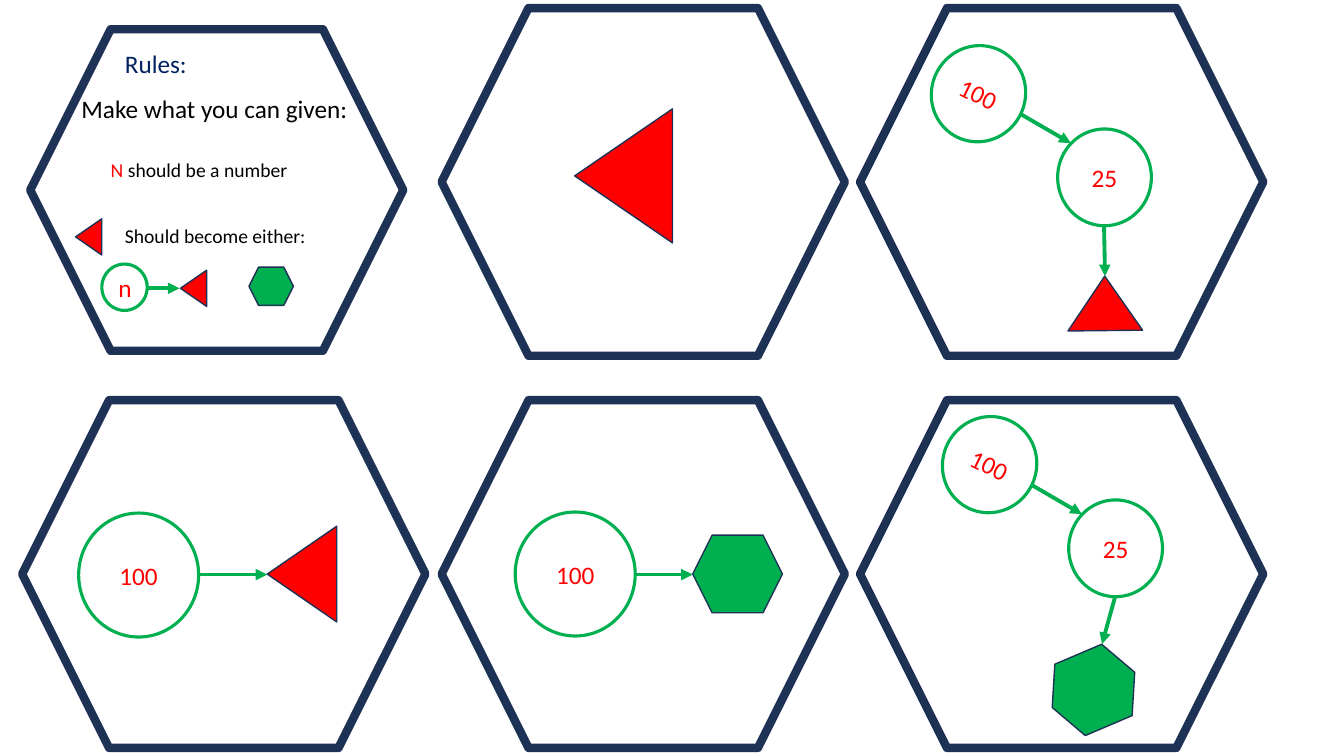
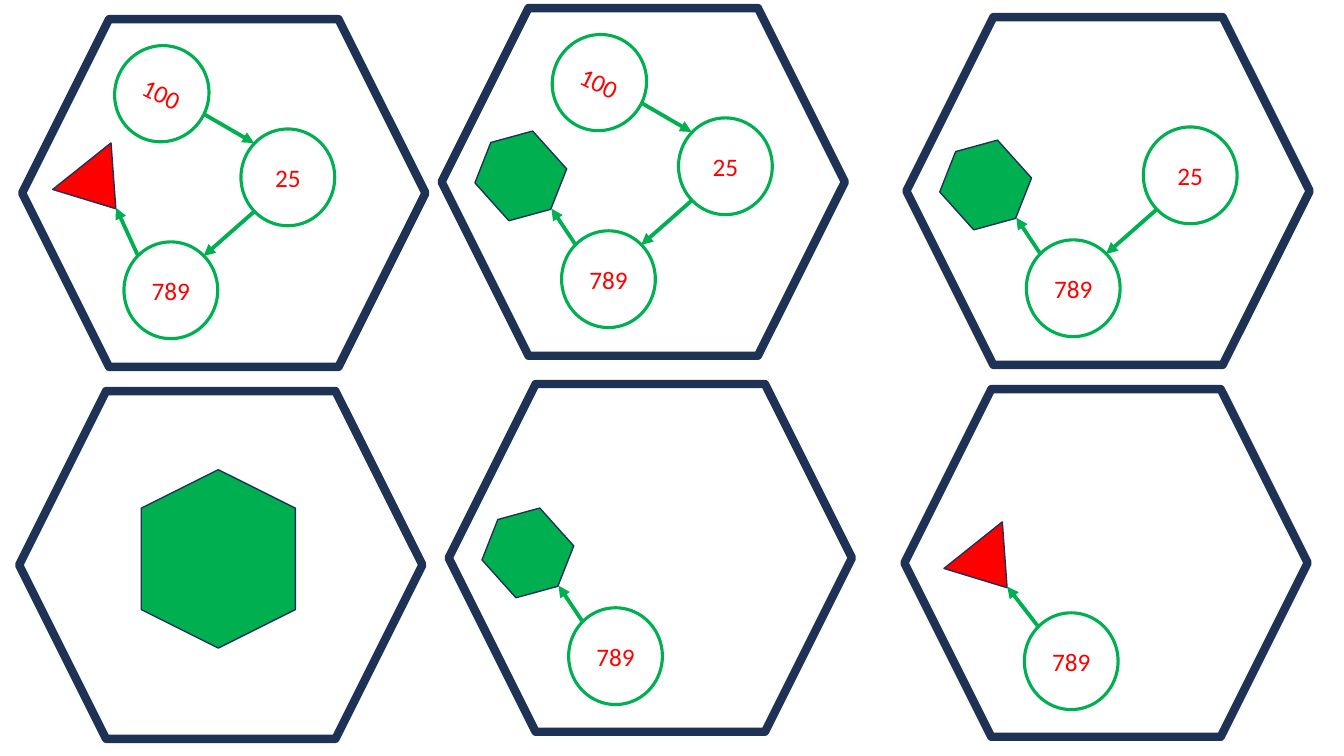
from lxml import etree
from pptx import Presentation
from pptx.dml.color import RGBColor
from pptx.enum import shapes, text
from pptx.oxml import ns
from pptx.util import Inches, Pt

NAVY = RGBColor(0x1E, 0x32, 0x56)
TITLE_BLUE = RGBColor(0x00, 0x20, 0x60)
GREEN = RGBColor(0x00, 0xB0, 0x50)
RED = RGBColor(0xFF, 0x00, 0x00)
WHITE = RGBColor(0xFF, 0xFF, 0xFF)
BLACK = RGBColor(0x00, 0x00, 0x00)

FONT = "Calibri"
FRAME = (4, 3.45)
NODE = (0.93, 0.96)
BIG_NODE = (1.19, 1.23)
LEAF_HEXAGON = (0.89, 0.77)
LEAF_TRIANGLE = (0.74, 0.54)


# Basic elements
def add_shape(slide, kind, position, size, fill, line, weight, rotation=0):
    lengths = [Inches(value) for value in (*position, *size)]
    shape = slide.shapes.add_shape(kind, *lengths)
    shape.shadow.inherit = False
    shape.rotation = rotation
    if fill is None:
        shape.fill.background()
    else:
        shape.fill.solid()
        shape.fill.fore_color.rgb = fill
    shape.line.color.rgb = line
    shape.line.width = Pt(weight)
    return shape


def add_run(paragraph, words, size, color):
    run = paragraph.add_run()
    run.text = words
    run.font.name = FONT
    run.font.size = Pt(size)
    run.font.color.rgb = color
    return run


def outline_run(run, color, weight):
    properties = run.font._element
    line = etree.Element(ns.qn("a:ln"), w=str(int(Pt(weight))))
    fill = etree.SubElement(line, ns.qn("a:solidFill"))
    etree.SubElement(fill, ns.qn("a:srgbClr"), val=str(color))
    properties.insert(0, line)


def add_text(slide, left, top, width, height, size, *runs):
    box = slide.shapes.add_textbox(*map(Inches, (left, top, width, height)))
    frame = box.text_frame
    frame.word_wrap = True
    frame.auto_size = text.MSO_AUTO_SIZE.SHAPE_TO_FIT_TEXT
    for words, color in runs:
        add_run(frame.paragraphs[0], words, size, color)


def add_arrow(slide, start, end):
    arrow = slide.shapes.add_connector(
        shapes.MSO_CONNECTOR.STRAIGHT, *map(Inches, (*start, *end)))
    arrow.line.color.rgb = GREEN
    arrow.line.width = Pt(2.75)
    etree.SubElement(arrow.line._get_or_add_ln(), ns.qn("a:tailEnd"), type="triangle")
    etree.SubElement(arrow._element.spPr, ns.qn("a:effectLst"))


# Parts of a card
def add_frame(slide, left, top, size=FRAME):
    add_shape(slide, shapes.MSO_SHAPE.HEXAGON, (left, top), size, None, NAVY, 6)


def add_hexagon(slide, position, size=LEAF_HEXAGON, rotation=0):
    add_shape(slide, shapes.MSO_SHAPE.HEXAGON, position, size, GREEN, NAVY, 1, rotation)


def add_triangle(slide, position, size=LEAF_TRIANGLE, rotation=0):
    add_shape(slide, shapes.MSO_SHAPE.ISOSCELES_TRIANGLE, position, size,
              RED, NAVY, 1, rotation)


def add_node(slide, label, position, size=NODE, rotation=0):
    node = add_shape(slide, shapes.MSO_SHAPE.OVAL, position, size,
                     WHITE, GREEN, 2.25, rotation)
    node.text_frame.vertical_anchor = text.MSO_ANCHOR.MIDDLE
    paragraph = node.text_frame.paragraphs[0]
    paragraph.alignment = text.PP_ALIGN.CENTER
    outline_run(add_run(paragraph, label, 18, RED), RED, 0.75)


# Linked nodes, each placed relative to the node before it
def shift(position, right, down):
    return position[0] + right, position[1] + down


def add_100_to_25(slide, node_100):
    node_25 = shift(node_100, 1.25, 0.83)
    add_node(slide, "100", node_100, rotation=26.2)
    add_arrow(slide, shift(node_100, 0.88, 0.68), shift(node_100, 1.38, 0.97))
    add_node(slide, "25", node_25)
    return node_25


def add_25_to_789(slide, node_25):
    node_789 = shift(node_25, -1.16, 1.12)
    add_arrow(slide, shift(node_25, 0.13, 0.82), shift(node_25, -0.37, 1.26))
    add_node(slide, "789", node_789)
    return node_789


def add_789_to_hexagon(slide, node_789):
    add_arrow(slide, shift(node_789, 0.14, 0.14), shift(node_789, -0.1, -0.22))
    add_hexagon(slide, shift(node_789, -0.85, -0.93), rotation=48.1)


def add_789_to_triangle(slide, node_789, triangle):
    tip = shift(triangle, 0.54, 0.47)
    add_triangle(slide, triangle, rotation=141.4)
    add_arrow(slide, shift(node_789, 0.14, 0.14), tip)


# Slides
def add_rules_card(slide):
    add_frame(slide, 0.3, 0.29, (3.7, 3.19))
    add_text(slide, 1.14, 0.43, 1.21, 0.4, 18, ("Rules:", TITLE_BLUE))
    add_text(slide, 0.71, 0.88, 2.93, 0.4, 18, ("Make what you can given:", BLACK))
    add_text(slide, 1, 1.52, 2.23, 0.34, 14, ("N", RED), (" should be a number", BLACK))
    add_text(slide, 1.14, 2.17, 2.23, 0.34, 14, ("Should become either:", BLACK))
    for position in ((0.7, 2.22), (1.74, 2.73)):
        add_triangle(slide, position, (0.36, 0.26), 270)
    add_node(slide, "n", (1.01, 2.62), (0.45, 0.46))
    add_arrow(slide, (1.46, 2.86), (1.78, 2.86))
    add_hexagon(slide, (2.47, 2.65), (0.44, 0.38))


def build_rules_slide(slide):
    add_rules_card(slide)
    for left, top in ((4.38, 0.08), (8.53, 0.08), (0.22, 3.97), (4.38, 3.97), (8.53, 3.97)):
        add_frame(slide, left, top)

    # Single triangle
    add_triangle(slide, (5.52, 1.26), (1.33, 0.97), 270)

    # One node and a leaf
    add_node(slide, "100", (0.78, 5.09), BIG_NODE)
    add_arrow(slide, (1.97, 5.7), (2.65, 5.7))
    add_triangle(slide, (2.52, 5.35), (0.95, 0.69), 270)
    add_node(slide, "100", (5.11, 5.08), BIG_NODE)
    add_arrow(slide, (6.3, 5.7), (6.87, 5.7))
    add_hexagon(slide, (6.87, 5.31))

    # Two nodes and a leaf
    node_25 = add_100_to_25(slide, (9.24, 0.45))
    add_arrow(slide, shift(node_25, 0.46, 0.96), shift(node_25, 0.47, 1.46))
    add_triangle(slide, (10.59, 2.74), rotation=359.4)
    node_25 = add_100_to_25(slide, (9.35, 4.13))
    add_arrow(slide, shift(node_25, 0.46, 0.96), shift(node_25, 0.33, 1.43))
    add_hexagon(slide, (10.4, 6.46), rotation=336.9)


def build_chains_slide(slide):
    for left, top in ((0.22, 0.19), (4.38, 0.08), (8.99, 0.17),
                      (0.19, 3.88), (4.45, 3.81), (8.97, 3.86)):
        add_frame(slide, left, top)

    # Three nodes and a leaf
    node_789 = add_25_to_789(slide, add_100_to_25(slide, (1.14, 0.45)))
    add_789_to_triangle(slide, node_789, (0.61, 1.59))
    node_789 = add_25_to_789(slide, add_100_to_25(slide, (5.48, 0.34)))
    add_789_to_hexagon(slide, node_789)

    # Two nodes and a leaf
    node_25 = (11.34, 1.26)
    add_node(slide, "25", node_25)
    add_789_to_hexagon(slide, add_25_to_789(slide, node_25))

    # Single hexagon
    add_hexagon(slide, (1.28, 4.78), (1.77, 1.53), 90)

    # One node and a leaf
    add_node(slide, "789", (5.64, 6.03))
    add_789_to_hexagon(slide, (5.64, 6.03))
    add_node(slide, "789", (10.16, 6.08))
    add_789_to_triangle(slide, (10.16, 6.08), (9.45, 5.35))


def main():
    presentation = Presentation()
    presentation.slide_width = Inches(13.33)
    presentation.slide_height = Inches(7.5)
    for build in (build_rules_slide, build_chains_slide):
        build(presentation.slides.add_slide(presentation.slide_layouts[6]))
    presentation.save("out.pptx")


if __name__ == "__main__":
    main()
